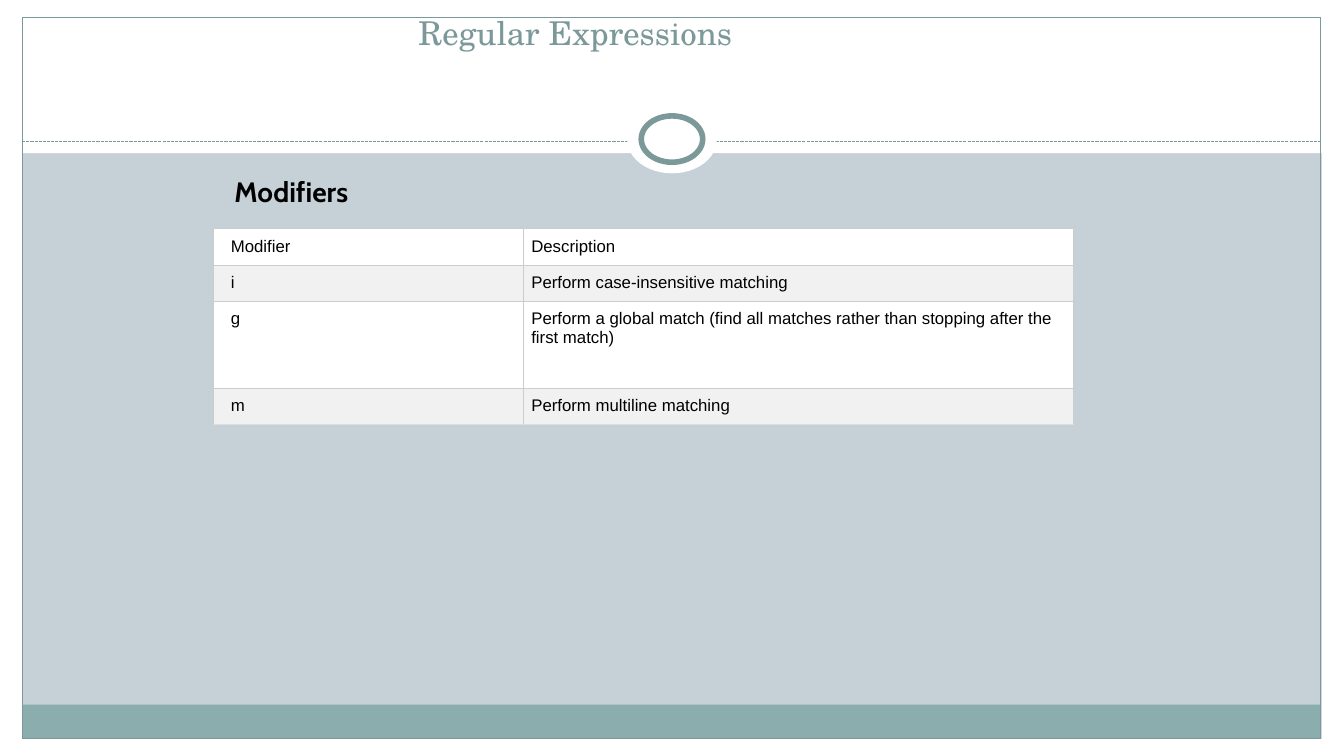
from pptx import Presentation
from pptx import util as u
from pptx.dml.color import RGBColor
from pptx.enum import dml, shapes, text
from pptx.oxml.ns import qn
from lxml import etree

WHITE = RGBColor(0xFF, 0xFF, 0xFF)
BLACK = RGBColor(0, 0, 0)
MIST = RGBColor(0xC5, 0xD1, 0xD7)
SAGE = RGBColor(0x8C, 0xAD, 0xAE)
TEAL = RGBColor(0x7C, 0x99, 0x9A)
BAND = RGBColor(0xF1, 0xF1, 0xF1)
GRID = RGBColor(0xCC, 0xCC, 0xCC)
EDGE = RGBColor(0xDD, 0xDD, 0xDD)

RECT = shapes.MSO_SHAPE.RECTANGLE
OVAL = shapes.MSO_SHAPE.OVAL
WIDE, HIGH = 13.33, 7.5
ROWS = [
    ("Modifier", "Description"),
    ("i", "Perform case-insensitive matching"),
    ("g", "Perform a global match (find all matches rather than "
          "stopping after the first match)"),
    ("m", "Perform multiline matching"),
]


class Page:
    def __init__(self, deck):
        self.slide = deck.slides.add_slide(deck.slide_layouts[6])
        self.items = self.slide.shapes
        fill = self.slide.background.fill
        fill.solid()
        fill.fore_color.rgb = MIST

    def shape(self, kind, box, fill=None, line=None, width=0.75):
        item = self.items.add_shape(kind, *map(u.Inches, box))
        item.shadow.inherit = False
        if fill is None:
            item.fill.background()
        else:
            item.fill.solid()
            item.fill.fore_color.rgb = fill
        if line is None:
            item.line.fill.background()
        else:
            item.line.color.rgb = line
            item.line.width = u.Pt(width)

    def rule(self, left, right, top):
        item = self.items.add_connector(
            shapes.MSO_CONNECTOR.STRAIGHT,
            *map(u.Inches, (left, top, right, top)))
        item.line.color.rgb = TEAL
        item.line.width = u.Pt(0.75)
        item.line.dash_style = dml.MSO_LINE.SQUARE_DOT
        etree.SubElement(item.element.spPr, qn("a:effectLst"))

    def words(self, frame, words, size, font, color, bold=False):
        para = frame.paragraphs[0]
        run = para.add_run()
        run.text = words
        run.font.size = u.Pt(size)
        run.font.name = font
        run.font.bold = bold
        run.font.color.rgb = color
        return para

    def label(self, box, words, size, font, color, bold=False,
              anchor=text.MSO_ANCHOR.TOP):
        frame = self.items.add_textbox(*map(u.Inches, box)).text_frame
        frame.word_wrap = True
        frame.vertical_anchor = anchor
        para = self.words(frame, words, size, font, color, bold)
        para.alignment = text.PP_ALIGN.CENTER

    def border(self, cell, low):
        props = cell._tc.get_or_add_tcPr()
        sides = [("lnL", GRID), ("lnR", GRID), ("lnT", GRID), ("lnB", low)]
        # Borders must come before the fill
        for spot, (side, color) in enumerate(sides):
            line = etree.Element(qn("a:" + side), w=str(u.Pt(0.75)))
            fill = etree.SubElement(line, qn("a:solidFill"))
            etree.SubElement(fill, qn("a:srgbClr"), val=str(color))
            props.insert(spot, line)

    def table(self, left, top, cols, highs, rows):
        box = (left, top, sum(cols), sum(highs))
        grid = self.items.add_table(
            len(rows), len(cols), *map(u.Inches, box)).table
        for col, wide in zip(grid.columns, cols):
            col.width = u.Inches(wide)
        for r, (row, high) in enumerate(zip(rows, highs)):
            grid.rows[r].height = u.Inches(high)
            for c, words in enumerate(row):
                cell = grid.cell(r, c)
                cell.fill.solid()
                cell.fill.fore_color.rgb = BAND if r % 2 else WHITE
                cell.margin_left = u.Inches(0.08 if c else 0.17)
                cell.margin_right = u.Inches(0.08)
                cell.margin_top = cell.margin_bottom = u.Inches(0.08)
                self.words(cell.text_frame, words, 12, "Arial", BLACK)
                self.border(cell, EDGE if r == len(rows) - 1 else GRID)


def main():
    deck = Presentation()
    deck.slide_width = u.Inches(WIDE)
    deck.slide_height = u.Inches(HIGH)
    page = Page(deck)

    # White margins and header
    for box in [(0, 7.33, WIDE, 0.17), (0, 0, WIDE, 1.52),
                (0, 0, 0.22, HIGH), (13.11, 0, 0.22, HIGH)]:
        page.shape(RECT, box, WHITE)

    # Footer band, frame and dashed rule
    page.shape(RECT, (0.22, 6.99, 12.88, 0.34), SAGE)
    page.shape(RECT, (0.22, 0.17, 12.88, 7.16), line=TEAL)
    page.rule(0.22, 13.1, 1.4)

    # Ring on the rule
    page.shape(OVAL, (6.22, 1.05, 0.89, 0.67), WHITE)
    page.shape(OVAL, (6.36, 1.15, 0.61, 0.46), WHITE, TEAL, 4)

    # Title, table and its heading
    page.label((0.35, 0.13, 10.8, 0.44), "Regular Expressions ", 23.4,
               "TeX Gyre Schola", TEAL, anchor=text.MSO_ANCHOR.BOTTOM)
    page.table(2.12, 2.27, (3.07, 5.46), (0.35, 0.35, 0.86, 0.35), ROWS)
    page.label((1.91, 1.68, 1.96, 0.44), "Modifiers", 20, "Cabin", BLACK,
               bold=True)

    deck.save("out.pptx")


if __name__ == "__main__":
    main()
